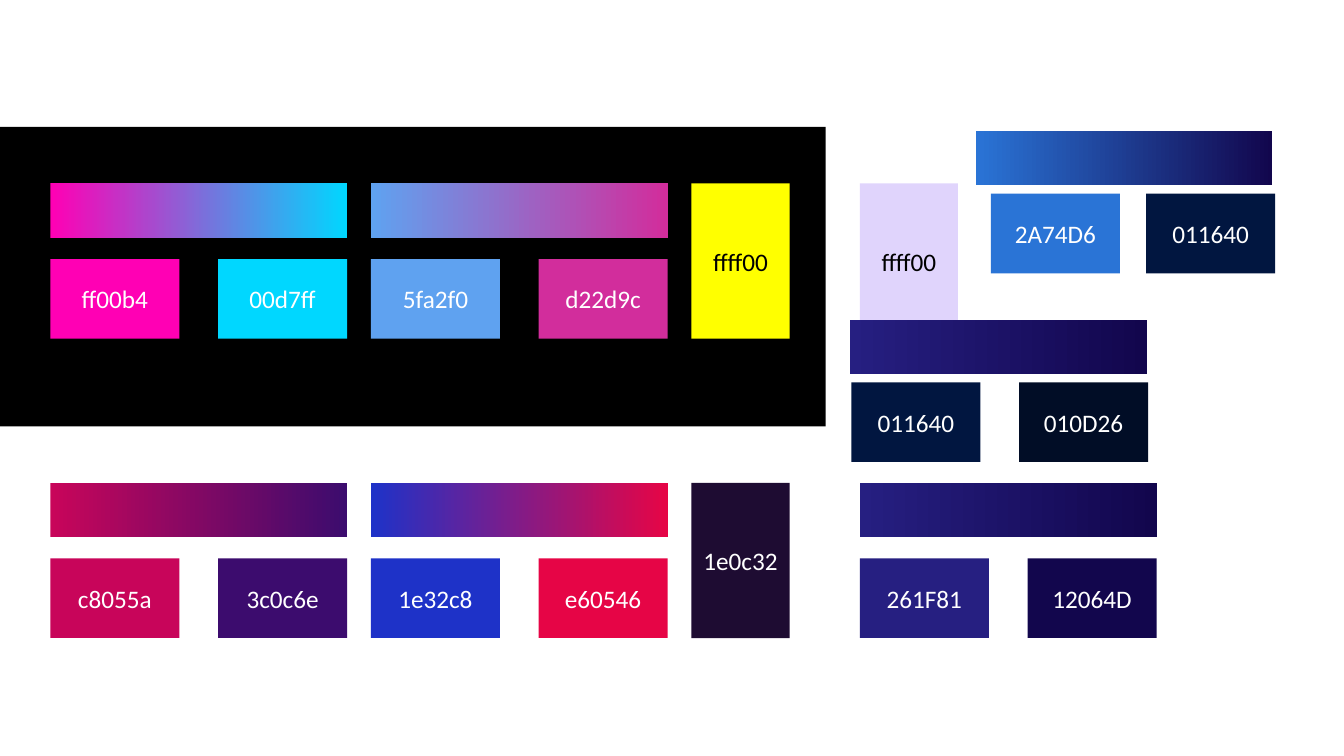
from pptx import Presentation
from pptx.dml.color import RGBColor as Rgb
from pptx.enum.shapes import MSO_SHAPE as Shape
from pptx.enum.text import MSO_ANCHOR as Anchor, PP_ALIGN as Align
from pptx.util import Inches, Pt

HUES = {
    "black": "000000", "white": "ffffff", "pink": "ff00b4", "cyan": "00d7ff",
    "sky": "5fa2f0", "rose": "d22d9c", "yellow": "ffff00", "lilac": "E0D4FC",
    "ruby": "c8055a", "plum": "3c0c6e", "blue": "1e32c8", "red": "e60546",
    "dusk": "1e0c32", "indigo": "261F81", "violet": "12064D",
    "navy": "011640", "night": "010D26", "azure": "2A74D6",
}


class Deck:
    """Draws palette samples, with lengths in percent of the slide's size."""

    font, size = "Calibri", Pt(18)
    chip_w, chip_h = 9.6, 10.53
    bar_w, bar_h = 22.08, 7.2
    tall_w, tall_h = 7.3, 20.53

    def __init__(self):
        self.deck = Presentation()
        self.deck.slide_width = Inches(13.33)
        self.deck.slide_height = Inches(7.5)
        self.slide = self.deck.slides.add_slide(self.deck.slide_layouts[6])

    def color(self, hue):
        return Rgb.from_string(HUES[hue].upper())

    def rect(self, x, y, w, h):
        wide, high = self.deck.slide_width, self.deck.slide_height
        box = self.slide.shapes.add_shape(
            Shape.RECTANGLE, int(x * wide / 100), int(y * high / 100),
            int(w * wide / 100), int(h * high / 100))
        box.shadow.inherit = False
        box.line.fill.background()
        return box

    def block(self, x, y, w, h, hue):
        box = self.rect(x, y, w, h)
        box.fill.solid()
        box.fill.fore_color.rgb = self.color(hue)
        return box

    def label(self, box, text, ink):
        frame = box.text_frame
        frame.word_wrap = True
        frame.vertical_anchor = Anchor.MIDDLE
        para = frame.paragraphs[0]
        para.alignment = Align.CENTER
        run = para.add_run()
        run.text = text
        run.font.name, run.font.size = self.font, self.size
        run.font.color.rgb = self.color(ink)

    def chip(self, x, y, hue):
        box = self.block(x, y, self.chip_w, self.chip_h, hue)
        self.label(box, HUES[hue], "white")

    def tall(self, x, y, hue, text, ink):
        box = self.block(x, y, self.tall_w, self.tall_h, hue)
        self.label(box, text, ink)

    def bar(self, x, y, hues):
        fill = self.rect(x, y, self.bar_w, self.bar_h).fill
        fill.gradient()
        fill.gradient_angle = 0
        for stop, hue, place in zip(fill.gradient_stops, hues, (0, 1)):
            stop.color.rgb = self.color(hue)
            stop.position = place

    def pair(self, x, y, hues, blend=None, shift=0, step=12.48, drop=10):
        for i, hue in enumerate(hues):
            self.chip(x + shift + i * step, y + drop, hue)
        self.bar(x, y, blend or hues)

    def save(self):
        self.deck.save("out.pptx")


def main():
    deck = Deck()
    left, mid, side, right = 3.75, 27.6, 51.45, 63.98
    top, low = 24.27, 63.87
    deck.block(0, 16.8, 61.43, 39.6, "black")
    deck.pair(left, top, ("pink", "cyan"))
    deck.pair(mid, top, ("sky", "rose"))
    deck.tall(side, top, "yellow", HUES["yellow"], "black")
    deck.pair(left, low, ("ruby", "plum"))
    deck.pair(mid, low, ("blue", "red"))
    deck.tall(side, low, "dusk", HUES["dusk"], "white")
    deck.tall(right, top, "lilac", HUES["yellow"], "black")
    deck.pair(right, low, ("indigo", "violet"))
    deck.pair(63.23, 42.27, ("navy", "night"), ("indigo", "violet"),
              shift=0.12, drop=8.3)
    deck.pair(72.6, 17.33, ("azure", "navy"), ("azure", "violet"),
              shift=1.13, step=11.55, drop=8.3)
    deck.save()


if __name__ == "__main__":
    main()
